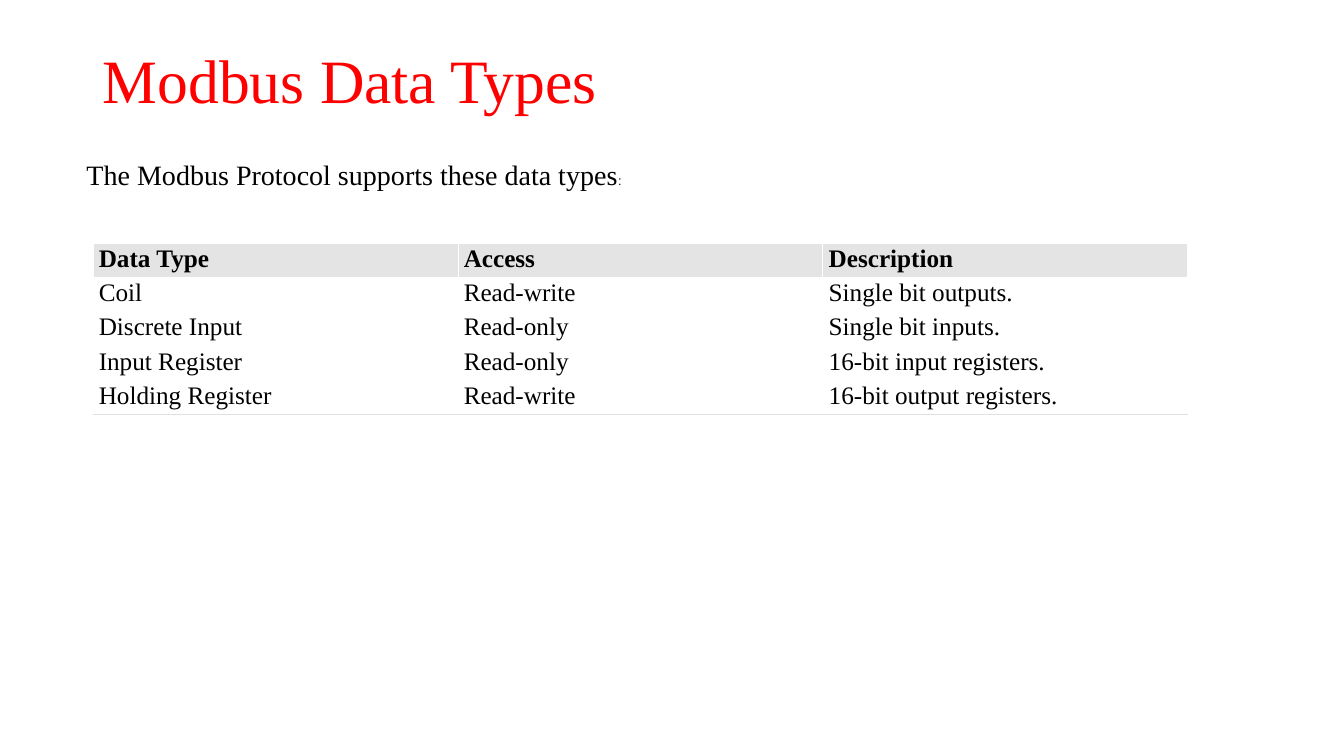
"""Build the slide that lists the Modbus data types in a table."""
from dataclasses import dataclass

from lxml.etree import SubElement
from pptx import Presentation
from pptx.dml.color import RGBColor
from pptx.enum.text import MSO_ANCHOR
from pptx.oxml.ns import qn
from pptx.slide import Slide
from pptx.table import _Cell
from pptx.text.text import _Paragraph
from pptx.util import Inches, Pt

RED = RGBColor(0xFF, 0x00, 0x00)
BLACK = RGBColor(0x00, 0x00, 0x00)
WHITE = RGBColor(0xFF, 0xFF, 0xFF)
HEADER_GRAY = RGBColor(0xE4, 0xE4, 0xE4)
RULE_GRAY = RGBColor(0xE0, 0xE0, 0xE0)
SERIF = "Times New Roman"
COLUMN_WIDTH = 3.62
ROW_HEIGHT = 0.33


@dataclass(frozen=True)
class Piece:
    text: str
    size: float
    color: RGBColor = BLACK
    font: str = SERIF
    bold: bool = False


@dataclass(frozen=True)
class Caption:
    left: float
    top: float
    width: float
    height: float
    pieces: tuple[Piece, ...]
    wrap: bool = True
    line_spacing: float = 1.0
    top_inset: float = 0.05


@dataclass(frozen=True)
class DataType:
    name: str
    access: str
    description: str


CAPTIONS = (
    Caption(0.92, 0.4, 11.5, 1.45, (Piece("Modbus Data Types", 44, RED),),
            line_spacing=0.9, top_inset=0.1),
    Caption(0.76, 1.51, 5.54, 0.74,
            (Piece("The Modbus Protocol supports these data types", 20),
             Piece(":", 9, font="Arial")), wrap=False),
)
HEADER = DataType("Data Type", "Access", "Description")
DATA_TYPES = (
    DataType("Coil", "Read-write", "Single bit outputs."),
    DataType("Discrete Input", "Read-only", "Single bit inputs."),
    DataType("Input Register", "Read-only", "16-bit input registers."),
    DataType("Holding Register", "Read-write", "16-bit output registers."),
)


def add_piece(paragraph: _Paragraph, piece: Piece) -> None:
    run = paragraph.add_run()
    run.text = piece.text
    run.font.name = piece.font
    run.font.size = Pt(piece.size)
    run.font.bold = piece.bold
    run.font.color.rgb = piece.color


def add_caption(slide: Slide, caption: Caption) -> None:
    frame = slide.shapes.add_textbox(
        Inches(caption.left), Inches(caption.top),
        Inches(caption.width), Inches(caption.height)).text_frame
    frame.word_wrap = caption.wrap
    frame.vertical_anchor = MSO_ANCHOR.TOP
    frame.margin_top = Inches(caption.top_inset)
    paragraph = frame.paragraphs[0]
    paragraph.line_spacing = caption.line_spacing
    for piece in caption.pieces:
        add_piece(paragraph, piece)


def add_borders(cell: _Cell, bottom: RGBColor) -> None:
    properties = cell._tc.get_or_add_tcPr()
    edges = {"a:lnL": WHITE, "a:lnR": WHITE, "a:lnT": WHITE, "a:lnB": bottom}
    for tag, color in edges.items():
        edge = SubElement(properties, qn(tag), w=str(Pt(0.38)))
        fill = SubElement(edge, qn("a:solidFill"))
        SubElement(fill, qn("a:srgbClr"), val=str(color))


def fill_cell(cell: _Cell, text: str, is_header: bool, is_last: bool) -> None:
    cell.margin_left = cell.margin_right = Inches(0.06)
    cell.margin_top = cell.margin_bottom = Inches(0.02)
    add_borders(cell, RULE_GRAY if is_last else WHITE)
    if is_header:
        cell.fill.solid()
        cell.fill.fore_color.rgb = HEADER_GRAY
    else:
        cell.fill.background()
    add_piece(cell.text_frame.paragraphs[0], Piece(text, 18, bold=is_header))


def add_data_types(slide: Slide) -> None:
    records = (HEADER, *DATA_TYPES)
    table = slide.shapes.add_table(
        len(records), 3, Inches(0.92), Inches(2.41),
        Inches(3 * COLUMN_WIDTH), Inches(len(records) * ROW_HEIGHT)).table
    table.first_row = False
    table.horz_banding = False
    for row_index, record in enumerate(records):
        values = (record.name, record.access, record.description)
        for column_index, value in enumerate(values):
            fill_cell(table.cell(row_index, column_index), value,
                      record is HEADER, record is records[-1])


def main() -> None:
    presentation = Presentation()
    presentation.slide_width = Inches(13.33)
    presentation.slide_height = Inches(7.5)
    slide = presentation.slides.add_slide(presentation.slide_layouts[6])
    for caption in CAPTIONS:
        add_caption(slide, caption)
    add_data_types(slide)
    presentation.save("out.pptx")


if __name__ == "__main__":
    main()
